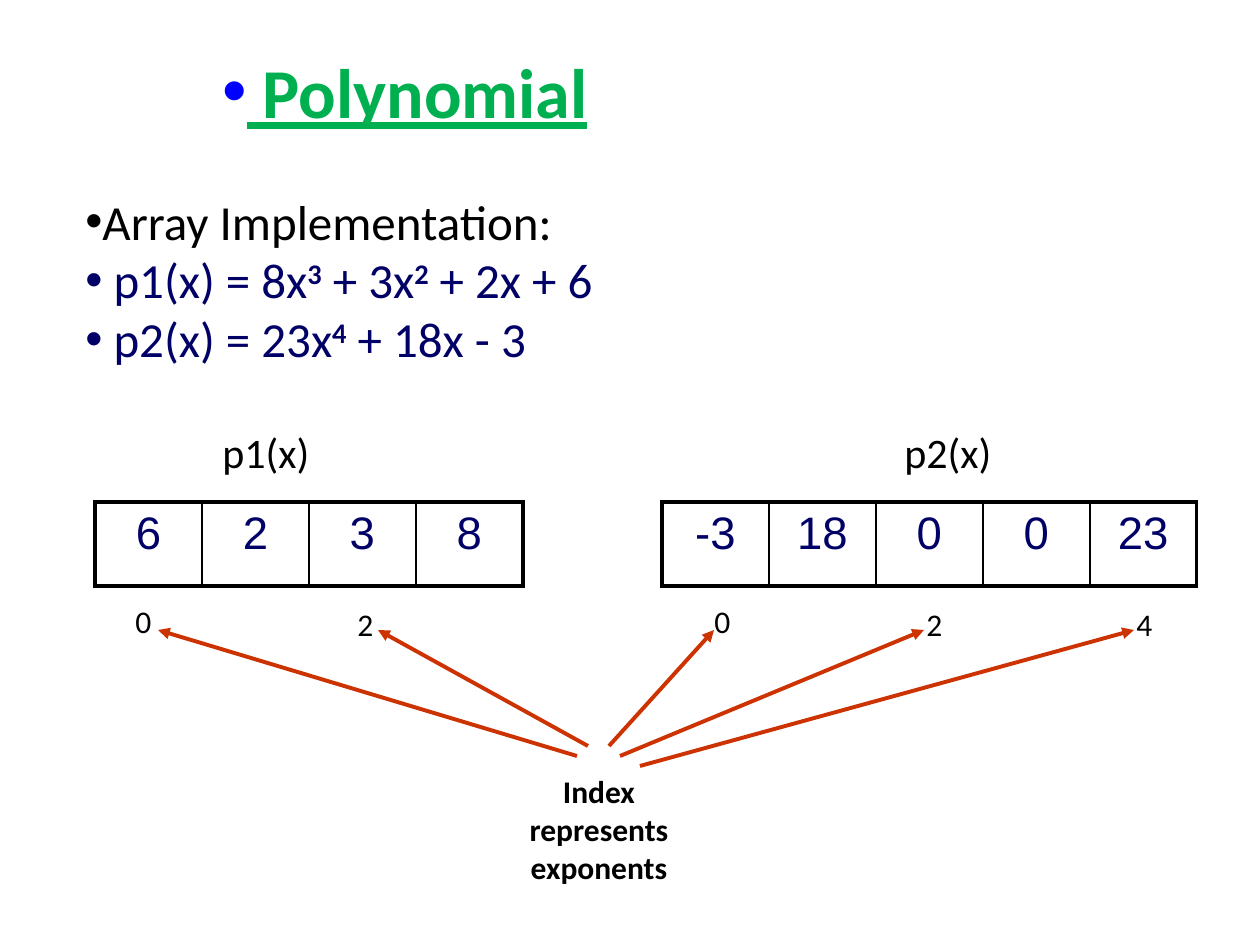
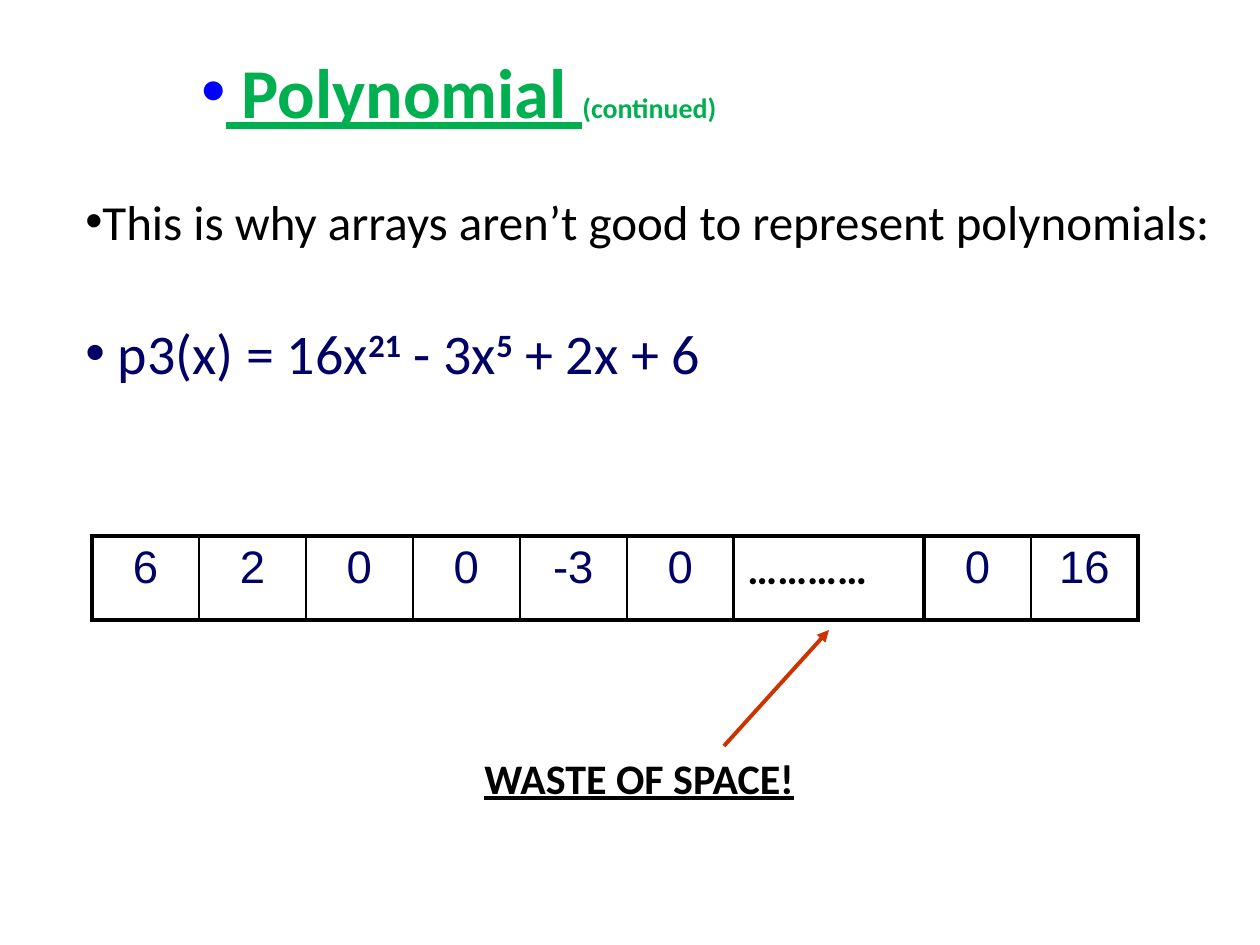
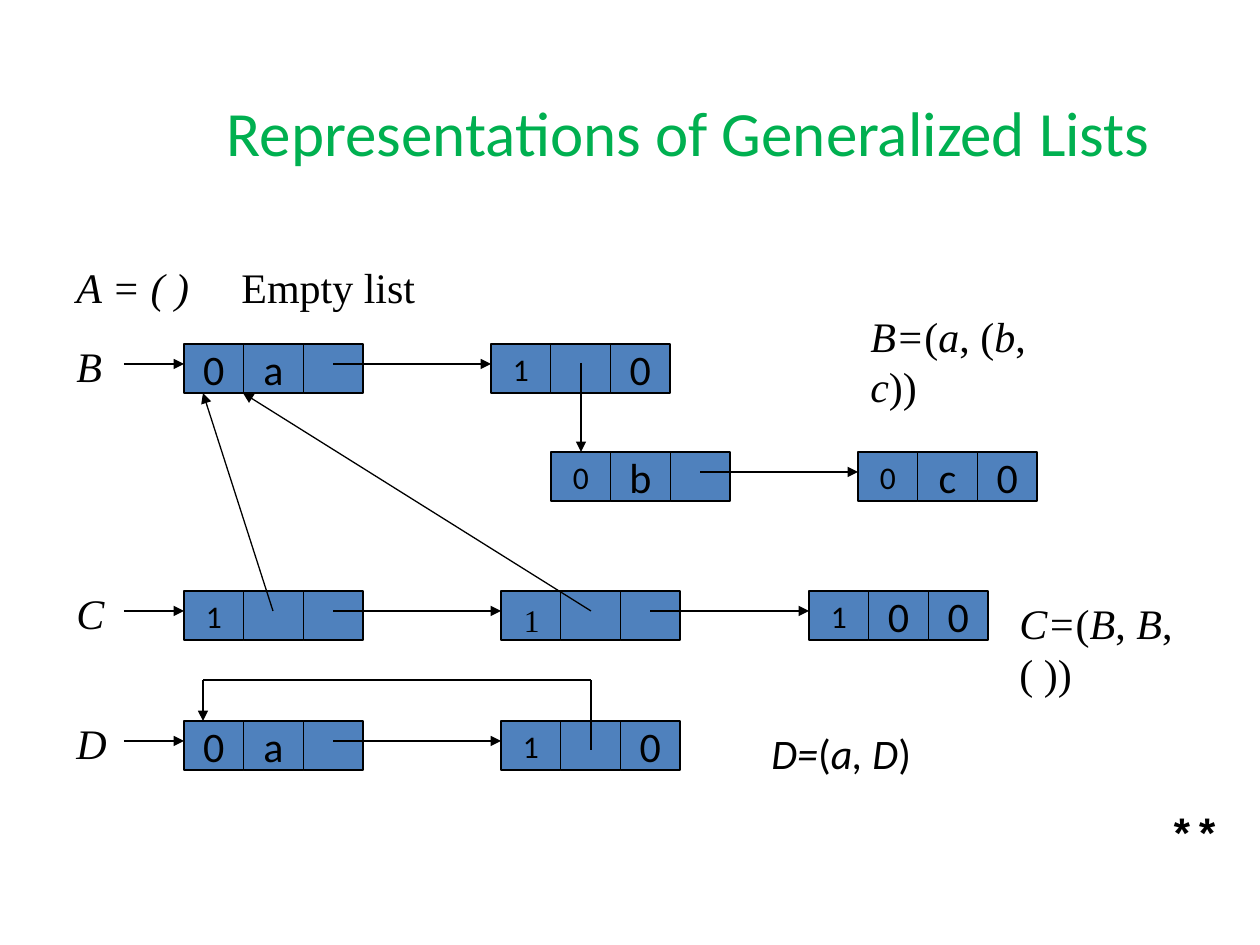
from lxml.etree import SubElement
from pptx import Presentation
from pptx.dml.color import RGBColor
from pptx.enum.shapes import MSO_CONNECTOR, MSO_SHAPE
from pptx.enum.text import MSO_ANCHOR, PP_ALIGN
from pptx.oxml.ns import qn
from pptx.util import Emu, Pt

PX_PER_INCH = 126
BLACK = RGBColor(0x00, 0x00, 0x00)
GREEN = RGBColor(0x00, 0xB0, 0x50)
BLUE = RGBColor(0x00, 0x00, 0xFF)
NAVY = RGBColor(0x00, 0x00, 0x66)
RUST = RGBColor(0xCC, 0x33, 0x00)
STEEL = RGBColor(0x4F, 0x81, 0xBD)

# Text formats
PLAIN = {"name": "Calibri", "color": BLACK}
SMALL = PLAIN | {"size": 18}
MEDIUM = PLAIN | {"size": 24}
BODY = PLAIN | {"size": 28}
TITLE = {"name": "Calibri", "size": 40, "color": GREEN, "bold": True, "underline": True}
CONTINUED = TITLE | {"size": 16, "underline": False}
HEADING = PLAIN | {"size": 36, "color": GREEN}
COEFFICIENT = {"name": "Arial", "size": 26, "color": NAVY}
SERIF = {"name": "Times New Roman", "size": 24, "color": BLACK}
STARS = {"name": "Courier New", "size": 24, "color": BLACK, "bold": True}

# Slides 1 and 2: polynomials; the parts alternate between base line and exponent
P1 = [" p1(x) = 8x", "3", " + 3x", "2", " + 2x + 6"]
P2 = [" p2(x) = 23x", "4", " + 18x - 3"]
P3 = [" p3(x) = 16x", "21", " - 3x", "5", " + 2x + 6"]
CELL_WIDTH, CELL_HEIGHT = 107, 84
P1_ARRAY = (95, 502, ["6", "2", "3", "8"])
P2_ARRAY = (662, 502, ["-3", "18", "0", "0", "23"])
P3_START = (92, 536, ["6", "2", "0", "0", "-3", "0"])
P3_END = (924, 536, ["0", "16"])
ARRAY_LABELS = [("p1(x)", 210, 420), ("p2(x)", 892, 420)]
INDEX_LABELS = [("0", 123, 596), ("2", 345, 599), ("0", 702, 596),
                ("2", 914, 599), ("4", 1124, 599)]
INDEX_ARROWS = [((577, 756), (158, 630)), ((588, 746), (378, 630)),
                ((609, 746), (714, 630)), ((620, 756), (924, 630)),
                ((640, 766), (1134, 630))]

# Slide 3: chains of nodes as (label, top, [(left, tag, tag format, data, next)])
NODE_WIDTH, NODE_HEIGHT, POINTER_DROP = 179, 49, 20
CHAINS = [
    ("B", 344, [(184, "0", MEDIUM, "a", ""), (491, "1", SMALL, "", "0")]),
    ("", 452, [(551, "0", SMALL, "b", ""), (858, "0", SMALL, "c", "0")]),
    ("C", 591, [(184, "1", SMALL, "", ""), (501, "1", SERIF | {"size": 18}, "", ""),
                (809, "1", SMALL, "0", "0")]),
    ("D", 721, [(184, "0", MEDIUM, "a", ""), (501, "1", SMALL, "", "0")]),
]
SUBLIST_ARROWS = [((273, 611), (203, 393)), ((591, 611), (243, 393)),
                  ((581, 363), (581, 452))]
D_LOOP = [(591, 750), (591, 680), (203, 680), (203, 721)]
# Parts alternate between italic and upright
DEFINITIONS = [
    (858, 304, SERIF, ["B=", "(", "a", ", (", "b", ", ", "c", "))"]),
    (1007, 591, SERIF, ["C=", "(", "B", ",", " B", ", ( ))"]),
    (759, 721, MEDIUM, ["D=", "(", "a, D", ")"]),
]


def px(value):
    return Emu(round(value * 914400 / PX_PER_INCH))


def alternate(parts, odd, even):
    return [(part, (odd, even)[i % 2]) for i, part in enumerate(parts)]


def polynomial(parts, size):
    base = PLAIN | {"size": size, "color": NAVY}
    return alternate(parts, base, base | {"bold": True, "baseline": 30000})


def add_bullet(paragraph, color):
    properties = paragraph._p.get_or_add_pPr()
    properties.set("marL", "0")
    properties.set("indent", "0")
    fill = SubElement(SubElement(properties, qn("a:buClr")), qn("a:srgbClr"))
    fill.set("val", str(color))
    SubElement(properties, qn("a:buFont")).set("typeface", "Arial")
    SubElement(properties, qn("a:buChar")).set("char", "•")


def add_tab_stop(paragraph, position):
    tabs = SubElement(paragraph._p.get_or_add_pPr(), qn("a:tabLst"))
    stop = SubElement(tabs, qn("a:tab"))
    stop.set("pos", str(px(position)))
    stop.set("algn", "l")


def write(paragraph, runs, align=PP_ALIGN.LEFT):
    paragraph.alignment = align
    for text, text_format in runs:
        run = paragraph.add_run()
        run.text = text
        for key, value in text_format.items():
            if key == "color":
                run.font.color.rgb = value
            elif key == "baseline":
                run.font._element.set("baseline", str(value))
            else:
                setattr(run.font, key, Pt(value) if key == "size" else value)


def add_text(slide, box, *paragraphs, bullets=(), align=PP_ALIGN.LEFT):
    frame = slide.shapes.add_textbox(*map(px, box)).text_frame
    frame.word_wrap = True
    for i, runs in enumerate(paragraphs):
        paragraph = frame.add_paragraph() if i else frame.paragraphs[0]
        if bullets:
            add_bullet(paragraph, bullets[i])
        write(paragraph, runs, align)
    return frame


def add_line(slide, start, end, color=BLACK, width=0.75, arrow=True):
    line = slide.shapes.add_connector(MSO_CONNECTOR.STRAIGHT, *map(px, start + end))
    line.line.color.rgb = color
    line.line.width = Pt(width)
    if arrow:
        SubElement(line.line._get_or_add_ln(), qn("a:tailEnd")).set("type", "triangle")
    SubElement(line._element.spPr, qn("a:effectLst"))


def add_border(cell, index, side, width):
    border = SubElement(cell._tc.get_or_add_tcPr(), qn(f"a:ln{side}"), w=str(Pt(width)))
    fill = SubElement(border, qn("a:solidFill"))
    SubElement(fill, qn("a:srgbClr")).set("val", str(BLACK))
    cell._tc.tcPr.insert(index, border)


def add_array(slide, left, top, coefficients):
    count = len(coefficients)
    table = slide.shapes.add_table(1, count, px(left), px(top),
                                   px(CELL_WIDTH * count), px(CELL_HEIGHT)).table
    table.first_row = table.horz_banding = False
    for i, coefficient in enumerate(coefficients):
        table.columns[i].width = px(CELL_WIDTH)
        cell = table.cell(0, i)
        cell.fill.background()
        write(cell.text_frame.paragraphs[0], [(coefficient, COEFFICIENT)], PP_ALIGN.CENTER)
        widths = {"L": 1 if i else 2.25, "R": 1 if i < count - 1 else 2.25,
                  "T": 2.25, "B": 2.25}
        for index, (side, width) in enumerate(widths.items()):
            add_border(cell, index, side, width)


def add_node(slide, left, top, tag, tag_format, data, following):
    fields = [(tag, tag_format), (data, MEDIUM), (following, MEDIUM)]
    width = NODE_WIDTH / len(fields)
    for i, (text, text_format) in enumerate(fields):
        field = slide.shapes.add_shape(MSO_SHAPE.RECTANGLE, px(left + i * width), px(top),
                                       px(width), px(NODE_HEIGHT))
        field.shadow.inherit = False
        field.fill.solid()
        field.fill.fore_color.rgb = STEEL
        field.line.color.rgb = BLACK
        field.line.width = Pt(0.75)
        field.text_frame.vertical_anchor = MSO_ANCHOR.MIDDLE
        if text:
            runs = [(text, text_format)]
            align = PP_ALIGN.CENTER
            if text_format["name"] == SERIF["name"]:
                runs.insert(0, (" ", SERIF))
                align = PP_ALIGN.LEFT
            write(field.text_frame.paragraphs[0], runs, align)


def build_array_slide(slide):
    add_text(slide, (210, 42, 577, 97), [(" Polynomial", TITLE)], bullets=[BLUE])
    add_text(slide, (73, 185, 1155, 190), [("Array Implementation:", BODY)],
             polynomial(P1, 28), polynomial(P2, 28), bullets=[BLACK, NAVY, NAVY])
    for array in (P1_ARRAY, P2_ARRAY):
        add_array(slide, *array)
    for label, left, top in ARRAY_LABELS:
        add_text(slide, (left, top, 121, 63), [(label, MEDIUM)])
    for label, left, top in INDEX_LABELS:
        add_text(slide, (left, top, 45, 50), [(label, SMALL)])
    for start, end in INDEX_ARROWS:
        add_line(slide, start, end, RUST, 2.25)
    add_text(slide, (494, 766, 210, 126),
             [("Index represents exponents", SMALL | {"bold": True})], align=PP_ALIGN.CENTER)


def build_waste_slide(slide):
    add_text(slide, (189, 42, 672, 97),
             [(" Polynomial ", TITLE), ("(continued)", CONTINUED)], bullets=[BLUE])
    reason = add_text(slide, (73, 185, 1155, 267),
                      [("This is why arrays aren’t good to represent polynomials:", BODY)],
                      polynomial(P3, 32), bullets=[BLACK, NAVY])
    reason.paragraphs[1].space_before = Pt(39)
    for array in (P3_START, P3_END):
        add_array(slide, *array)
    for y in (536, 536 + CELL_HEIGHT):
        add_line(slide, (735, y), (924, y), width=2.25, arrow=False)
    add_text(slide, (735, 536, 193, 63), [("…………", MEDIUM | {"bold": True})])
    add_line(slide, (724, 746), (829, 630), RUST, 2.25)
    add_text(slide, (472, 746, 417, 63),
             [("WASTE OF SPACE!", MEDIUM | {"bold": True, "underline": True})])


def build_lists_slide(slide):
    italic = SERIF | {"italic": True}
    heading = add_text(slide, (189, 63, 999, 112),
                       [("Representations of Generalized Lists", HEADING)],
                       align=PP_ALIGN.CENTER)
    heading.vertical_anchor = MSO_ANCHOR.BOTTOM
    for _, top, nodes in CHAINS:
        for left, *fields in nodes:
            add_node(slide, left, top, *fields)
    for label, top, nodes in CHAINS:
        y = top + POINTER_DROP
        lefts = [node[0] for node in nodes]
        for left, next_left in zip(lefts, lefts[1:]):
            add_line(slide, (left + NODE_WIDTH * 5 / 6, y), (next_left, y))
        if label:
            add_line(slide, (124, y), (lefts[0], y))
            add_text(slide, (64, top - 10, 60, 64), [(label, italic)])
    for start, end in SUBLIST_ARROWS:
        add_line(slide, start, end)
    for start, end in zip(D_LOOP, D_LOOP[1:]):
        add_line(slide, start, end, arrow=end == D_LOOP[-1])
    empty = add_text(slide, (64, 255, 397, 64), [("A = ( )", italic), ("\tEmpty list", SERIF)])
    add_tab_stop(empty.paragraphs[0], 165)
    for left, top, text_format, parts in DEFINITIONS:
        add_text(slide, (left, top, 228, 64),
                 alternate(parts, text_format | {"italic": True}, text_format))
    add_text(slide, (1157, 801, 85, 63), [("**", STARS)])


def main():
    deck = Presentation()
    deck.slide_width, deck.slide_height = px(1260), px(945)
    for build in (build_array_slide, build_waste_slide, build_lists_slide):
        build(deck.slides.add_slide(deck.slide_layouts[6]))
    deck.save("out.pptx")


if __name__ == "__main__":
    main()
